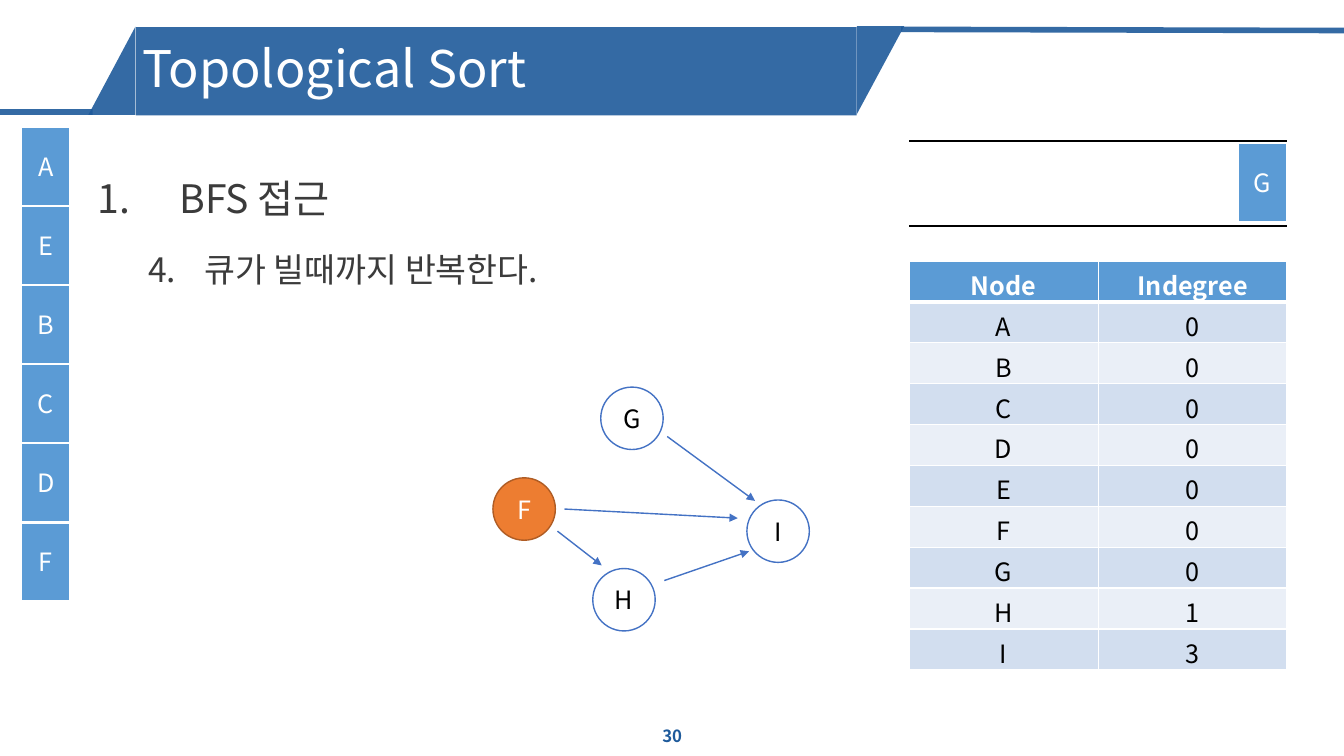
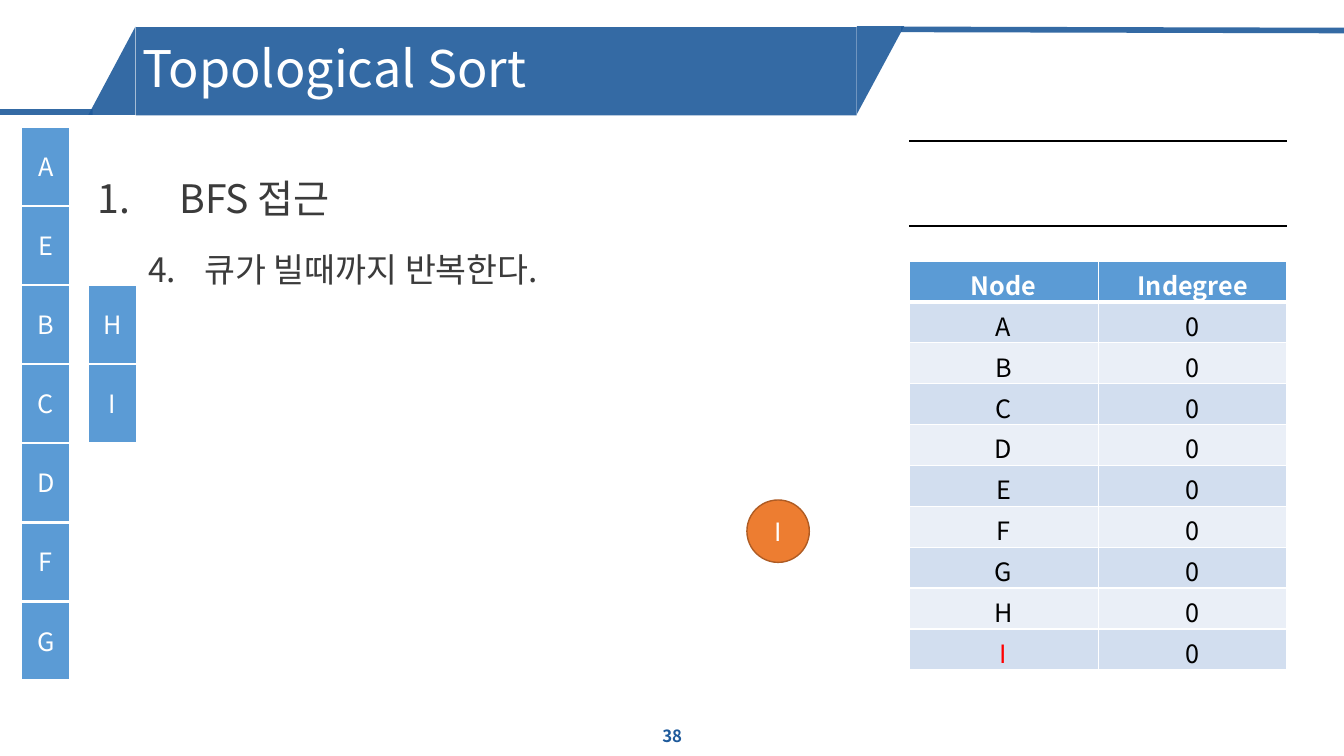
from dataclasses import dataclass, field

import lxml.etree
import pptx
import pptx.dml.color
import pptx.enum.shapes
import pptx.enum.text
import pptx.oxml.ns
import pptx.util

Pt = pptx.util.Pt
RGBColor = pptx.dml.color.RGBColor
Shape = pptx.enum.shapes.MSO_SHAPE
Align = pptx.enum.text.PP_ALIGN
Anchor = pptx.enum.text.MSO_ANCHOR
qn = pptx.oxml.ns.qn

FONT = "Noto Sans CJK KR"
NAVY = RGBColor(0x1E, 0x5A, 0x9B)
BLUE = RGBColor(0x5B, 0x9B, 0xD5)
EDGE_BLUE = RGBColor(0x44, 0x72, 0xC4)
ORANGE = RGBColor(0xED, 0x7D, 0x31)
BROWN = RGBColor(0xAF, 0x5C, 0x24)
PALE = RGBColor(0xD2, 0xDE, 0xEF)
PALER = RGBColor(0xEA, 0xEF, 0xF7)
GREY = RGBColor(0x3B, 0x3B, 0x3B)
RED = RGBColor(0xFF, 0, 0)
BLACK = RGBColor(0, 0, 0)
WHITE = RGBColor(0xFF, 0xFF, 0xFF)

BAND_OPACITY = 90
NODE_SIZE = 44.6
TILE_WIDTH, TILE_HEIGHT, TILE_STEP = 35.3, 56.2, 56.5
TILE_TOP = 90.7
TABLE_LEFT, TABLE_WIDTH = 649.4, 270


@dataclass(frozen=True)
class Node:
    name: str
    left: float
    top: float
    active: bool = False


@dataclass(frozen=True)
class Edge:
    x1: float
    y1: float
    x2: float
    y2: float


@dataclass(frozen=True)
class Tile:
    name: str
    left: float
    top: float


@dataclass(frozen=True)
class Step:
    number: int
    nodes: list[Node]
    tiles: list[Tile]
    indegrees: dict[str, int]
    edges: list[Edge] = field(default_factory=list)
    red_node: str = ""


def tile_column(names: str, left: float, first_row: int = 0) -> list[Tile]:
    return [Tile(name, left, TILE_TOP + row * TILE_STEP)
            for row, name in enumerate(names, first_row)]


STEPS = [
    Step(
        number=30,
        nodes=[Node("F", 352.1, 341.3, active=True), Node("G", 429.1, 276.5),
               Node("H", 423.4, 406.1), Node("I", 533.5, 357.1)],
        edges=[Edge(403.2, 363.6, 527, 370.1), Edge(474.5, 414.7, 535, 393.8),
               Edge(476.6, 311.8, 539.3, 357.8), Edge(398.2, 379.4, 429.8, 403.9)],
        tiles=tile_column("AEBCDF", 15.1) + [Tile("G", 884.2, 102.2)],
        indegrees=dict.fromkeys("ABCDEFG", 0) | {"H": 1, "I": 3},
    ),
    Step(
        number=38,
        nodes=[Node("I", 533.5, 357.1, active=True)],
        tiles=tile_column("AEBCDFG", 15.1) + tile_column("HI", 62.6, first_row=2),
        indegrees=dict.fromkeys("ABCDEFGHI", 0),
        red_node="I",
    ),
]


def write(para, text: str, *, size: float = 18, color: RGBColor = BLACK,
          bold: bool = False, align=Align.CENTER) -> None:
    para.alignment = align
    span = para.add_run()
    span.text = text
    span.font.name = FONT
    span.font.size = Pt(size)
    span.font.bold = bold
    span.font.color.rgb = color
    east_asian = lxml.etree.SubElement(span.font._element, qn("a:ea"))
    east_asian.set("typeface", FONT)


def set_opacity(element, percent: int) -> None:
    for color in element.iter(qn("a:srgbClr")):
        lxml.etree.SubElement(color, qn("a:alpha")).set("val", str(percent * 1000))


def place(box, left: float, top: float, width: float, height: float) -> None:
    box.left, box.top, box.width, box.height = Pt(left), Pt(top), Pt(width), Pt(height)


def add_box(page, kind, left: float, top: float, width: float, height: float, *,
            fill: RGBColor, line: RGBColor | None = None, line_width: float = 1,
            text: str = "", color: RGBColor = WHITE):
    box = page.shapes.add_shape(kind, Pt(left), Pt(top), Pt(width), Pt(height))
    box.shadow.inherit = False
    box.fill.solid()
    box.fill.fore_color.rgb = fill
    if line is None:
        box.line.fill.background()
    else:
        box.line.color.rgb = line
        box.line.width = Pt(line_width)
    if text:
        frame = box.text_frame
        frame.margin_left = frame.margin_right = 0
        frame.margin_top = frame.margin_bottom = 0
        frame.vertical_anchor = Anchor.MIDDLE
        write(frame.paragraphs[0], text, color=color)
    return box


def add_line(page, edge: Edge, *, color: RGBColor, width: float, arrow: bool = False):
    line = page.shapes.add_connector(
        pptx.enum.shapes.MSO_CONNECTOR.STRAIGHT,
        Pt(edge.x1), Pt(edge.y1), Pt(edge.x2), Pt(edge.y2))
    line.line.color.rgb = color
    line.line.width = Pt(width)
    if arrow:
        outline = line.line._get_or_add_ln()
        lxml.etree.SubElement(outline, qn("a:tailEnd")).set("type", "triangle")
    lxml.etree.SubElement(line.element.spPr, qn("a:effectLst"))
    return line


def move_band_to_layout(page, layout) -> None:
    """Draw the title band and hand it over to the layout."""
    band = [
        add_box(page, Shape.RIGHT_TRIANGLE, 597.6, 33.1, 62.8, 33.8, fill=NAVY),
        add_line(page, Edge(66.2, 80, -2, 80), color=NAVY, width=4),
        add_box(page, Shape.RIGHT_TRIANGLE, 48.4, 33.8, 63, 33.6, fill=NAVY),
        add_line(page, Edge(960, 21.8, 643.7, 21), color=NAVY, width=4),
        add_box(page, Shape.RECTANGLE, 97, 19.4, 515, 63, fill=NAVY),
    ]
    band[0].rotation, band[2].rotation = 90, 270
    for shape_id, part in enumerate(band, 100):
        set_opacity(part.element, BAND_OPACITY)
        part.element.xpath(".//p:cNvPr")[0].set("id", str(shape_id))
        layout.shapes.element.append(part.element)


def fill_title(page) -> None:
    title = page.shapes.title
    place(title, 94.3, 21.6, 515, 58.3)
    frame = title.text_frame
    frame.auto_size = pptx.enum.text.MSO_AUTO_SIZE.NONE
    frame.vertical_anchor = Anchor.MIDDLE
    para = frame.paragraphs[0]
    para.line_spacing = 0.9
    write(para, "Topological Sort", size=36, color=WHITE, align=Align.LEFT)


def add_numbered(para, text: str, *, size: float, indent: float, hanging: float,
                 start: int, space_before: float) -> None:
    para.line_spacing = 1.5
    para.space_before = Pt(space_before)
    properties = para._p.get_or_add_pPr()
    properties.set("marL", str(Pt(indent)))
    properties.set("indent", str(-Pt(hanging)))
    number = lxml.etree.SubElement(properties, qn("a:buAutoNum"))
    number.set("type", "arabicPeriod")
    number.set("startAt", str(start))
    write(para, text, size=size, color=GREY, align=Align.LEFT)


def fill_body(page) -> None:
    body = page.placeholders[1]
    place(body, 62.6, 104.4, 826.6, 403.9)
    frame = body.text_frame
    frame.auto_size = pptx.enum.text.MSO_AUTO_SIZE.NONE
    add_numbered(frame.paragraphs[0], "BFS 접근", size=28, indent=58.3,
                 hanging=58.3, start=1, space_before=0)
    detail = frame.add_paragraph()
    detail.level = 1
    add_numbered(detail, "큐가 빌때까지 반복한다.", size=24, indent=76.3,
                 hanging=40.3, start=4, space_before=5)


def add_page_number(page, number: int) -> None:
    box = page.shapes.add_textbox(Pt(372.2), Pt(511.2), Pt(216), Pt(28.8))
    box.text_frame.word_wrap = True
    box.text_frame.vertical_anchor = Anchor.MIDDLE
    write(box.text_frame.paragraphs[0], str(number), size=12, color=NAVY, bold=True)


def format_cell(cell, text: str, *, fill: RGBColor, color: RGBColor, header: bool) -> None:
    write(cell.text_frame.paragraphs[0], text, color=color, bold=header)
    properties = cell._tc.get_or_add_tcPr()
    for side in ("lnL", "lnR", "lnT", "lnB"):
        border = lxml.etree.SubElement(properties, qn(f"a:{side}"))
        border.set("w", str(Pt(3 if header and side == "lnB" else 1)))
        paint = lxml.etree.SubElement(border, qn("a:solidFill"))
        lxml.etree.SubElement(paint, qn("a:srgbClr")).set("val", str(WHITE))
    cell.fill.solid()
    cell.fill.fore_color.rgb = fill


def add_indegree_table(page, step: Step) -> None:
    rows = [("Node", "Indegree"), *step.indegrees.items()]
    table = page.shapes.add_table(len(rows), 2, Pt(TABLE_LEFT), Pt(186.5),
                                  Pt(TABLE_WIDTH), Pt(29.2 * len(rows))).table
    for row, values in enumerate(rows):
        header = row == 0
        fill = BLUE if header else PALE if row % 2 else PALER
        for column, value in enumerate(values):
            color = WHITE if header else RED if value == step.red_node else BLACK
            format_cell(table.cell(row, column), str(value),
                        fill=fill, color=color, header=header)


def draw_step(page, step: Step) -> None:
    fill_title(page)
    fill_body(page)
    add_page_number(page, step.number)
    # Graph
    for edge in step.edges:
        add_line(page, edge, color=EDGE_BLUE, width=1, arrow=True)
    for node in step.nodes:
        fill, line, color = (ORANGE, BROWN, WHITE) if node.active else (WHITE, EDGE_BLUE, BLACK)
        add_box(page, Shape.OVAL, node.left, node.top, NODE_SIZE, NODE_SIZE,
                fill=fill, line=line, text=node.name, color=color)
    add_indegree_table(page, step)
    # Queue rails, then queued and visited tiles
    for y in (100.8, 161.3):
        add_line(page, Edge(TABLE_LEFT, y, TABLE_LEFT + TABLE_WIDTH, y),
                 color=BLACK, width=1.5)
    for tile in step.tiles:
        add_box(page, Shape.RECTANGLE, tile.left, tile.top, TILE_WIDTH, TILE_HEIGHT,
                fill=BLUE, line=WHITE, line_width=1.5, text=tile.name)


def main() -> None:
    deck = pptx.Presentation()
    deck.slide_width, deck.slide_height = Pt(960), Pt(540)
    layout = deck.slide_layouts[1]
    pages = [deck.slides.add_slide(layout) for _ in STEPS]
    move_band_to_layout(pages[0], layout)
    for page, step in zip(pages, STEPS):
        draw_step(page, step)
    deck.save("out.pptx")


if __name__ == "__main__":
    main()
